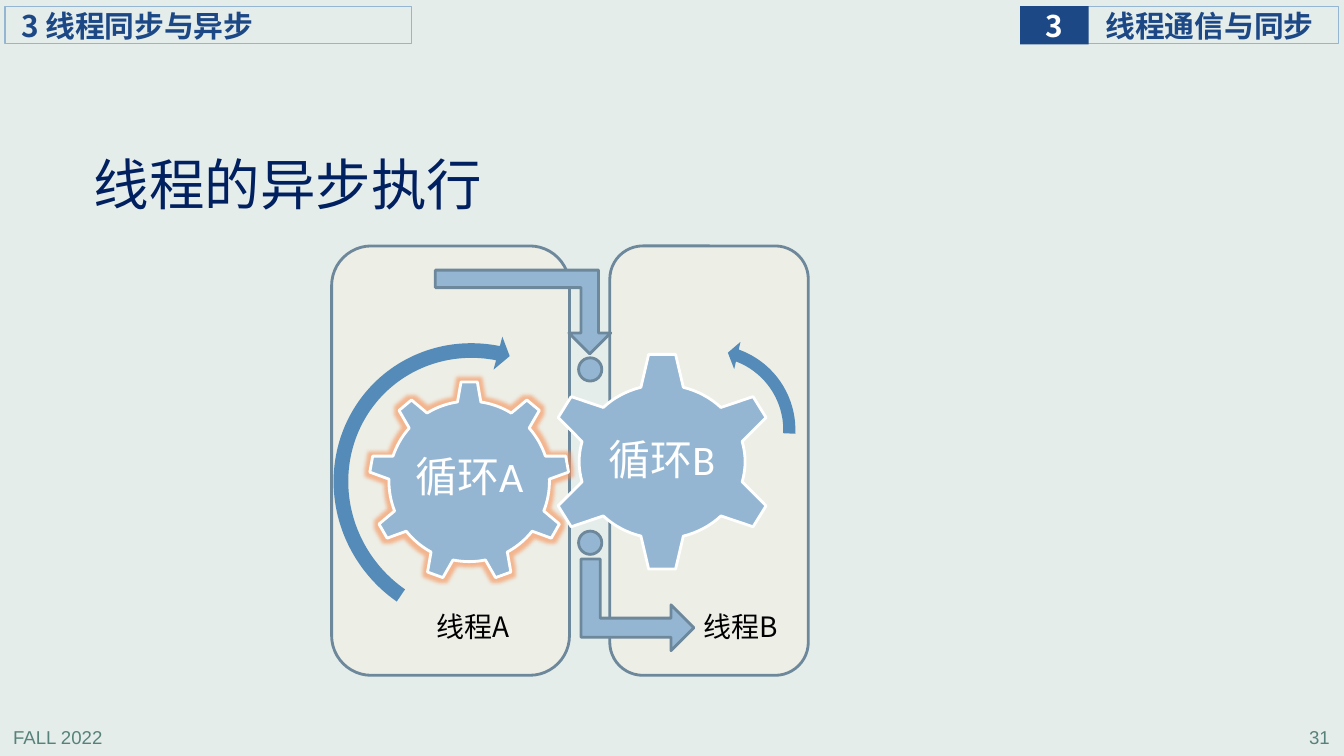
import pptx
import pptx.util
import pptx.dml.color
import pptx.enum.shapes
import pptx.enum.text
import pptx.oxml
import pptx.oxml.ns

Pt = pptx.util.Pt
SHAPE = pptx.enum.shapes.MSO_SHAPE
ALIGN = pptx.enum.text.PP_ALIGN
ANCHOR = pptx.enum.text.MSO_ANCHOR

THEME = {
    "background": "E5EDEB", "panel": "EDEEE6", "outline": "6D879B",
    "gear": "94B6D2", "arc": "558BB8", "brand": "1C4885", "white": "FFFFFF",
    "title": "002060", "footer": "578279", "black": "000000", "glow": "F79055",
    "cjk": "Noto Sans CJK SC", "gear_font": "Calibri", "footer_font": "Arial",
    "title_size": 39.6, "gear_size": 30, "header_size": 21.3,
    "label_size": 20, "footer_size": 13.3,
    "thin": 0.75, "thick": 2,
}

FOOTERS = [("FALL 2022", 2.2, ALIGN.LEFT), ("31", 756.7, ALIGN.RIGHT)]
HEADERS = [
    ("线程通信与同步", (776.2, 5, 180, 25.9), None, "gear", "brand", 13.4, ALIGN.LEFT),
    ("3", (728.6, 4.3, 49, 27.4), "brand", None, "white", 0, ALIGN.CENTER),
    ("3 线程同步与异步", (3.6, 5, 290.2, 25.9), None, "gear", "brand", 11.5, ALIGN.LEFT),
]
TITLE = ("线程的异步执行", (61.2, 106.6, 303.8, 55.4))
PANELS = [(435.6, 175.7, 141.8, 306.7), (236.9, 175.7, 169.9, 306.7)]
GEARS = [
    (SHAPE.GEAR_9, (263.5, 272.2, 143.3, 143.3), "循环A", (292.3, 305.3, 85.7, 73.4), True),
    (SHAPE.GEAR_6, (390.2, 251.3, 165.6, 157), "循环B", (430.6, 290.9, 84.2, 77.8), False),
]
ARCS = [
    (SHAPE.CIRCULAR_ARROW, (229.7, 239.8, 219.6, 213.8), 228.6,
     (0.049, 3.126, 30.669, 153.278, 0.057)),
    (SHAPE.LEFT_CIRCULAR_ARROW, (440.6, 240.5, 133.2, 133.2), 115.3,
     (0.065, 4.3, 104.891, 148.378, 0.075)),
]
BENT_ARROWS = [
    ((422.6, 391.7, 65.5, 80.6), 90, False),
    ((311, 193, 125.3, 59.8), 0, True),
]
BENT_SHAPE = (0.209, 0.25, 0.25)
DOT_LEFT, DOT_SIZE, DOT_TOPS = 413.3, 16.6, (255.6, 379.4)
LABELS = [("线程B", (495.4, 432, 67.7, 31.7)), ("线程A", (304.6, 432, 69.1, 31.7))]


def colour(name):
    return pptx.dml.color.RGBColor.from_string(THEME[name])


def add_shape(slide, kind, box, fill=None, line=None, width="thick", adjust=(), turn=0):
    shape = slide.shapes.add_shape(kind, *map(Pt, box))
    shape.shadow.inherit = False
    shape.rotation = turn
    for index, value in enumerate(adjust):
        shape.adjustments[index] = value
    if fill:
        shape.fill.solid()
        shape.fill.fore_color.rgb = colour(fill)
    else:
        shape.fill.background()
    if line:
        shape.line.color.rgb = colour(line)
        shape.line.width = Pt(THEME[width])
    else:
        shape.line.fill.background()
    return shape


def write(shape, text, size, ink, font="cjk", align=ALIGN.LEFT, anchor=ANCHOR.MIDDLE,
          insets=(7.2, 3.6, 7.2, 3.6), bold=False, spacing=None, wrap=True):
    frame = shape.text_frame
    frame.word_wrap = wrap
    frame.vertical_anchor = anchor
    (frame.margin_left, frame.margin_top,
     frame.margin_right, frame.margin_bottom) = map(Pt, insets)
    paragraph = frame.paragraphs[0]
    paragraph.alignment = align
    if spacing:
        paragraph.line_spacing = spacing
    run = paragraph.add_run()
    run.text = text
    run.font.size = Pt(THEME[size])
    run.font.bold = bold
    run.font.name = THEME[font]
    run.font.color.rgb = colour(ink)
    east_asian = pptx.oxml.parse_xml(
        f'<a:ea {pptx.oxml.ns.nsdecls("a")} typeface="{THEME["cjk"]}"/>')
    run.font._element.find(pptx.oxml.ns.qn("a:latin")).addnext(east_asian)


def add_text(slide, box, *args, **options):
    write(slide.shapes.add_textbox(*map(Pt, box)), *args, **options)


def add_glow(shape):
    effects = shape._element.spPr.find(pptx.oxml.ns.qn("a:effectLst"))
    effects.append(pptx.oxml.parse_xml(
        f'<a:glow {pptx.oxml.ns.nsdecls("a")} rad="{Pt(5)}"><a:srgbClr val="{THEME["glow"]}">'
        '<a:alpha val="60000"/></a:srgbClr></a:glow>'))


def main():
    presentation = pptx.Presentation()
    presentation.slide_width, presentation.slide_height = Pt(960), Pt(540)
    slide = presentation.slides.add_slide(presentation.slide_layouts[6])
    slide.background.fill.solid()
    slide.background.fill.fore_color.rgb = colour("background")

    for text, left, align in FOOTERS:
        add_text(slide, (left, 515.5, 200.2, 22.3), text, "footer_size", "footer",
                 font="footer_font", align=align)
    for text, box, fill, line, ink, inset, align in HEADERS:
        header = add_shape(slide, SHAPE.RECTANGLE, box, fill, line, "thin")
        write(header, text, "header_size", ink, align=align,
              insets=(inset, 0, 0, 0), bold=True)
    for box in PANELS:
        add_shape(slide, SHAPE.ROUNDED_RECTANGLE, box, "panel", "outline")
    add_text(slide, TITLE[1], TITLE[0], "title_size", "title",
             insets=(5.8, 2.9, 5.8, 2.9), spacing=0.9)

    for kind, box, text, text_box, glowing in GEARS:
        gear = add_shape(slide, kind, box, "gear", "white")
        if glowing:
            add_glow(gear)
        add_text(slide, text_box, text, "gear_size", "white", font="gear_font",
                 align=ALIGN.CENTER, insets=(2.9,) * 4, spacing=0.9)
    for kind, box, turn, adjust in ARCS:
        add_shape(slide, kind, box, "arc", adjust=adjust, turn=turn)
    for box, turn, flipped in BENT_ARROWS:
        arrow = add_shape(slide, SHAPE.BENT_UP_ARROW, box, "gear", "outline",
                          adjust=BENT_SHAPE, turn=turn)
        if flipped:
            arrow._element.spPr.xfrm.set("flipV", "1")
    for top in DOT_TOPS:
        add_shape(slide, SHAPE.OVAL, (DOT_LEFT, top, DOT_SIZE, DOT_SIZE), "gear", "outline")
    for text, box in LABELS:
        add_text(slide, box, text, "label_size", "black", anchor=ANCHOR.TOP, wrap=False)

    presentation.save("out.pptx")


if __name__ == "__main__":
    main()
